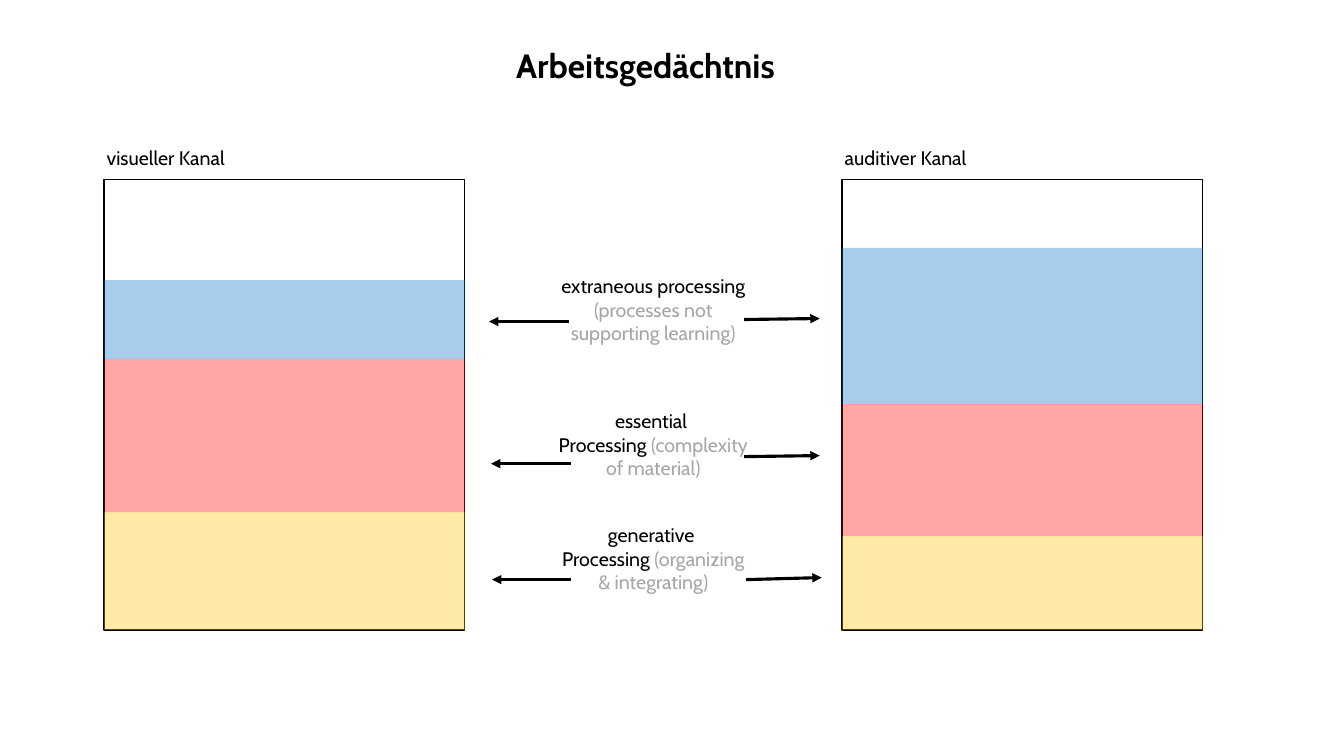
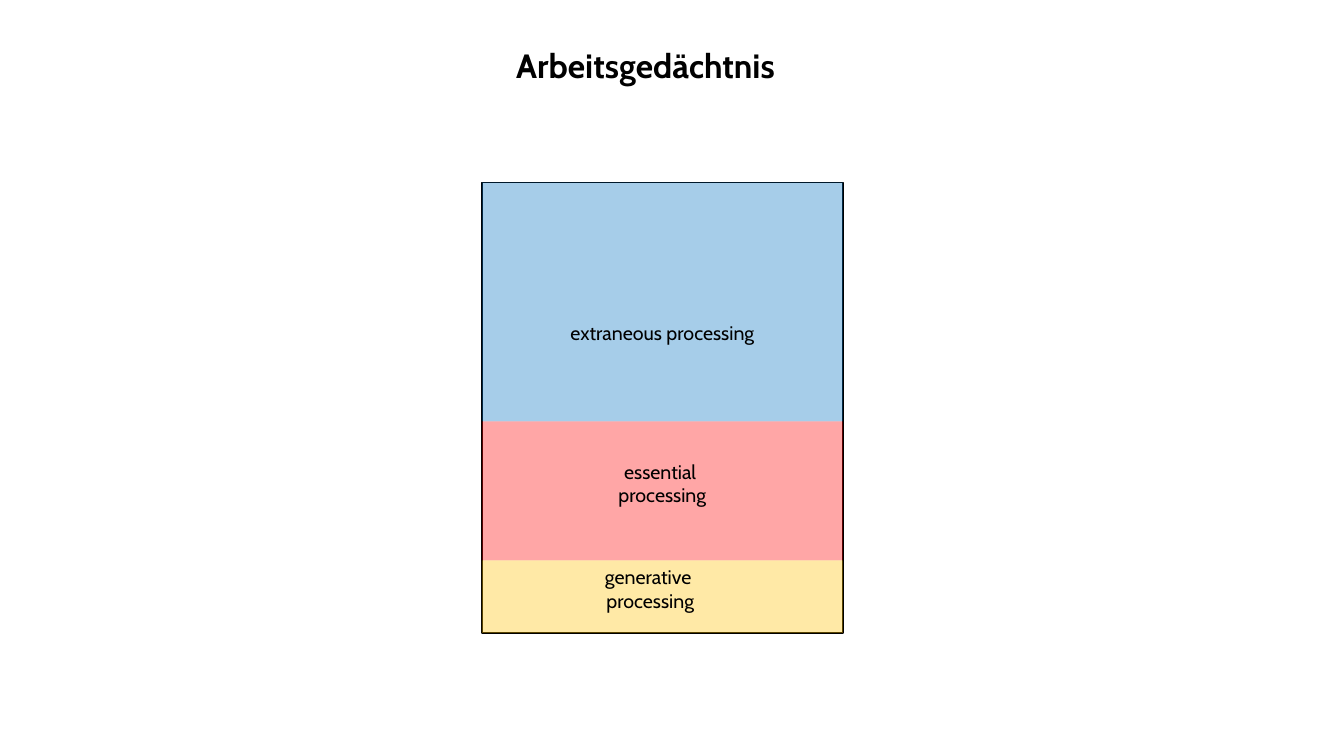
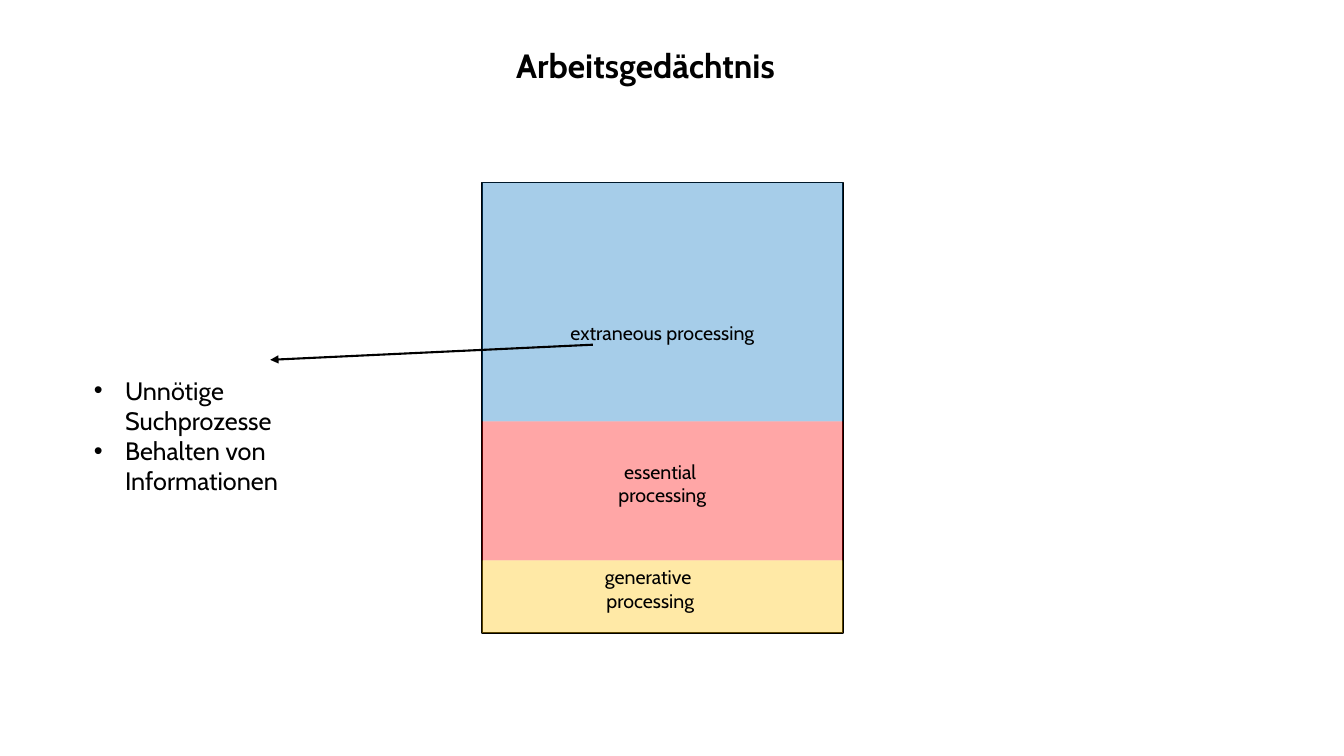
import pptx
import pptx.dml.color
import pptx.enum.shapes
import pptx.enum.text
import pptx.oxml.ns
import pptx.util
from lxml import etree
from pptx.util import Inches

FONT = "Cabin"
BLACK, GREY = "000000", "A6A6A6"
BAND_COLORS = ["0070C0", "FF0000", "FFC000"]
STACK_WIDTH, STACK_HEIGHT = 3.58, 4.47
LABEL_WIDTH = 2.16
LEFT = pptx.enum.text.PP_ALIGN.LEFT
CENTER = pptx.enum.text.PP_ALIGN.CENTER
color = pptx.dml.color.RGBColor.from_string
qn = pptx.oxml.ns.qn


def write_text(box, area, paragraphs, size=14, align=LEFT, bold=False):
    box.left, box.top, box.width, box.height = [Inches(length) for length in area]
    frame = box.text_frame
    frame.word_wrap = True
    frame.auto_size = pptx.enum.text.MSO_AUTO_SIZE.NONE
    frame.vertical_anchor = pptx.enum.text.MSO_ANCHOR.TOP
    for index, spans in enumerate(paragraphs):
        para = frame.add_paragraph() if index else frame.paragraphs[0]
        para.alignment = align
        para.space_before = pptx.util.Pt(0)
        for text, text_color in spans:
            span = para.add_run()
            span.text = text
            span.font.name = FONT
            span.font.size = pptx.util.Pt(size)
            span.font.bold = bold
            span.font.color.rgb = color(text_color)


def draw_arrow(page, start, end, width):
    points = [Inches(length) for length in (*start, *end)]
    arrow = page.shapes.add_connector(pptx.enum.shapes.MSO_CONNECTOR.STRAIGHT, *points)
    arrow.line.color.rgb = color(BLACK)
    arrow.line.width = pptx.util.Pt(width)
    properties = arrow.element.spPr
    etree.SubElement(properties.find(qn("a:ln")), qn("a:tailEnd"), type="triangle")
    etree.SubElement(properties, qn("a:effectLst"))


deck = pptx.Presentation()
deck.slide_width, deck.slide_height = Inches(13.33), Inches(7.5)
title_only, title_and_body = deck.slide_layouts[5], deck.slide_layouts[1]
pages = [deck.slides.add_slide(layout) for layout in (title_only, title_only, title_and_body)]
channels_page, load_page, example_page = pages

for page in pages:
    write_text(page.shapes.title, (5.02, 0.4, 3.11, 0.5), [[("Arbeitsgedächtnis", BLACK)]], 24, bold=True)

stacks = [
    (channels_page, 1.03, 1.78, [2.78, 3.56, 5.08]),
    (channels_page, 8.35, 1.78, [2.46, 4.01, 5.32]),
    (load_page, 4.78, 1.81, [1.81, 4.18, 5.56]),
    (example_page, 4.78, 1.81, [1.81, 4.18, 5.56]),
]
rectangle = pptx.enum.shapes.MSO_SHAPE.RECTANGLE
for page, left, top, band_tops in stacks:
    outline = page.shapes.add_shape(rectangle, Inches(left), Inches(top), Inches(STACK_WIDTH), Inches(STACK_HEIGHT))
    outline.shadow.inherit = False
    outline.fill.background()
    outline.line.color.rgb = color(BLACK)
    outline.line.width = pptx.util.Pt(1)
    band_bottoms = band_tops[1:] + [top + STACK_HEIGHT]
    for band_top, band_bottom, band_color in zip(band_tops, band_bottoms, BAND_COLORS):
        band = page.shapes.add_shape(
            rectangle, Inches(left), Inches(band_top), Inches(STACK_WIDTH), Inches(band_bottom - band_top))
        band.shadow.inherit = False
        band.line.fill.background()
        band.fill.solid()
        band.fill.fore_color.rgb = color(band_color)
        etree.SubElement(band.element.spPr.find(qn("a:solidFill"))[0], qn("a:alpha"), val="35000")

channel_labels = [(0.96, "visueller Kanal"), (8.28, "auditiver Kanal")]
for left, name in channel_labels:
    label = channels_page.shapes.add_textbox(0, 0, 0, 0)
    write_text(label, (left, 1.4, LABEL_WIDTH, 0.34), [[(name, BLACK)]])

explanations = [
    (2.67, [[("extraneous processing", BLACK)], [("(processes not supporting learning)", GREY)]]),
    (4.01, [[("essential ", BLACK)], [("Processing ", BLACK), ("(complexity of material)", GREY)]]),
    (5.14, [[("generative ", BLACK)], [("Processing ", BLACK), ("(organizing & integrating)", GREY)]]),
]
for top, paragraphs in explanations:
    label = channels_page.shapes.add_textbox(0, 0, 0, 0)
    write_text(label, (5.4, top, LABEL_WIDTH, 1.04), paragraphs, align=CENTER)

channel_arrows = [
    ((7.38, 3.17), (8.13, 3.16)),
    ((7.38, 4.53), (8.13, 4.52)),
    ((7.4, 5.75), (8.15, 5.73)),
    ((5.66, 5.75), (4.88, 5.75)),
    ((5.66, 4.6), (4.87, 4.6)),
    ((5.64, 3.19), (4.85, 3.19)),
]
for start, end in channel_arrows:
    draw_arrow(channels_page, start, end, 2.25)

band_labels = [
    (5.49, 3.13, ["extraneous processing"]),
    (5.49, 4.51, ["essential ", "processing"]),
    (5.37, 5.56, ["generative ", "processing"]),
]
for page in (load_page, example_page):
    for left, top, lines in band_labels:
        label = page.shapes.add_textbox(0, 0, 0, 0)
        write_text(label, (left, top, LABEL_WIDTH, 0.57), [[(line, BLACK)] for line in lines], align=CENTER)

examples = example_page.placeholders[1]
example_lines = ["Unnötige Suchprozesse", "Behalten von Informationen"]
write_text(examples, (0.83, 3.67, 2.78, 1.31), [[(line, BLACK)] for line in example_lines], 18)
for para in examples.text_frame.paragraphs:
    properties = para._p.get_or_add_pPr()
    properties.set("marL", str(Inches(0.31)))
    properties.set("indent", str(-Inches(0.31)))
    etree.SubElement(properties, qn("a:buFont"), typeface="Arial")
    etree.SubElement(properties, qn("a:buChar"), char="•")
draw_arrow(example_page, (5.88, 3.42), (2.68, 3.57), 1.5)

deck.save("out.pptx")
